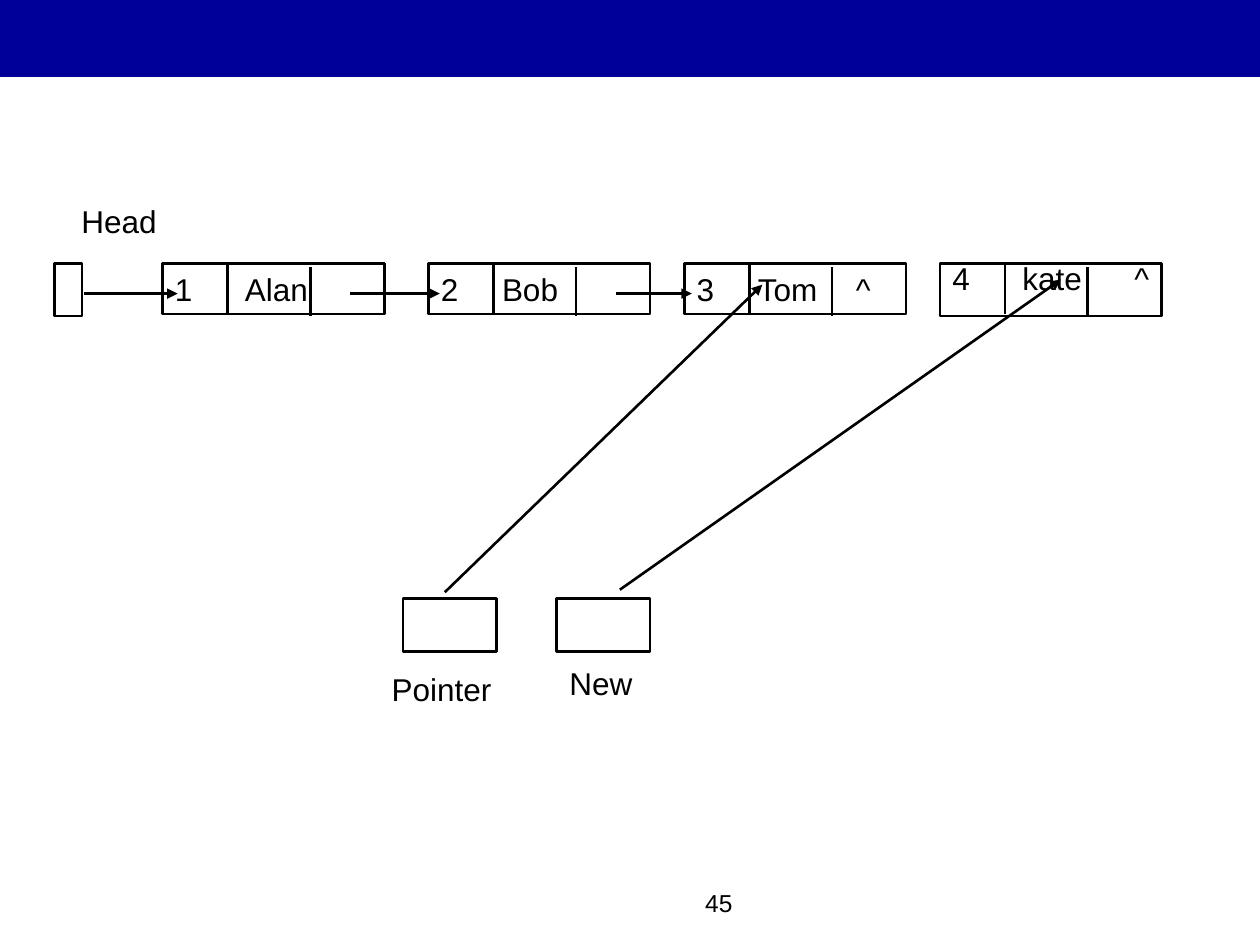
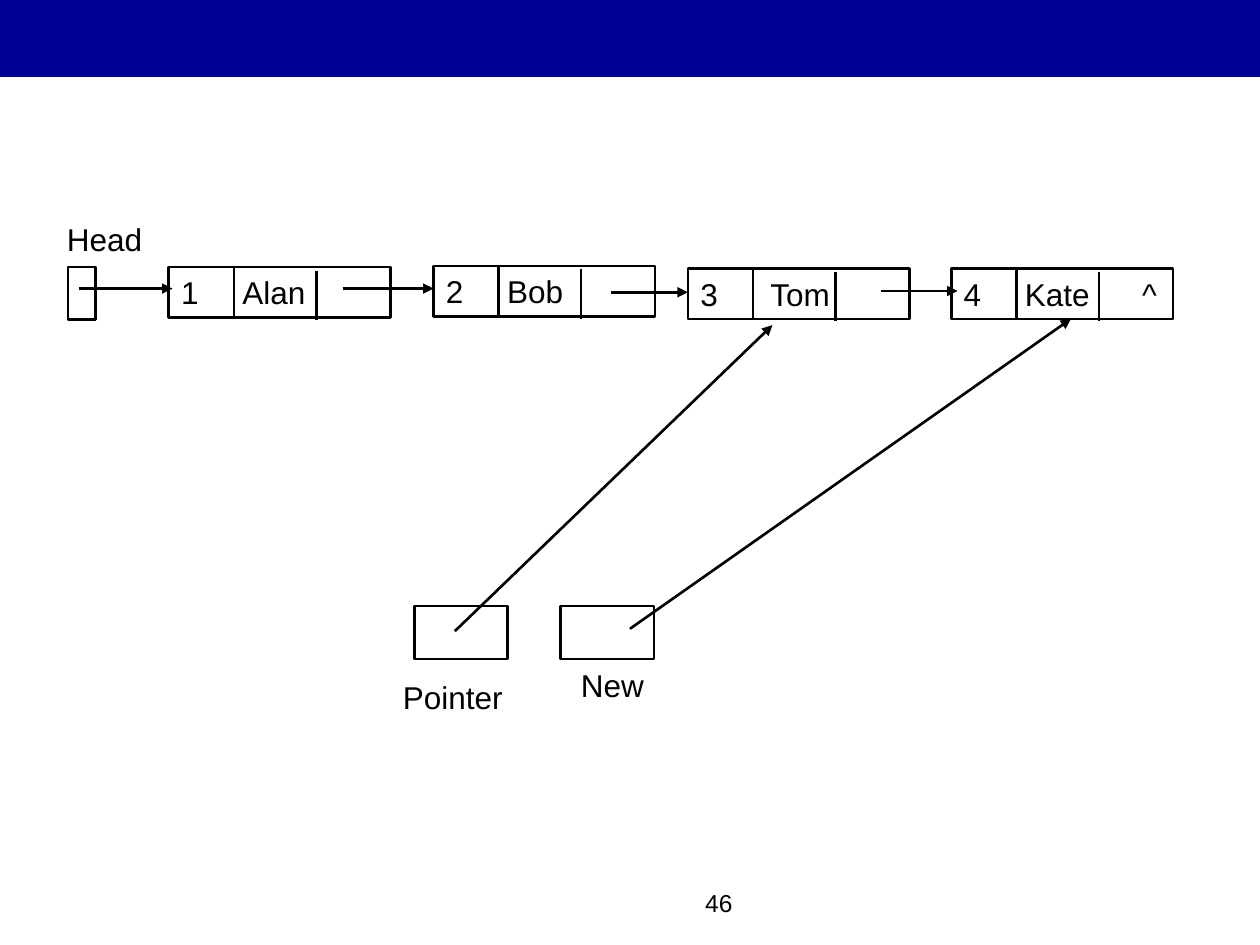
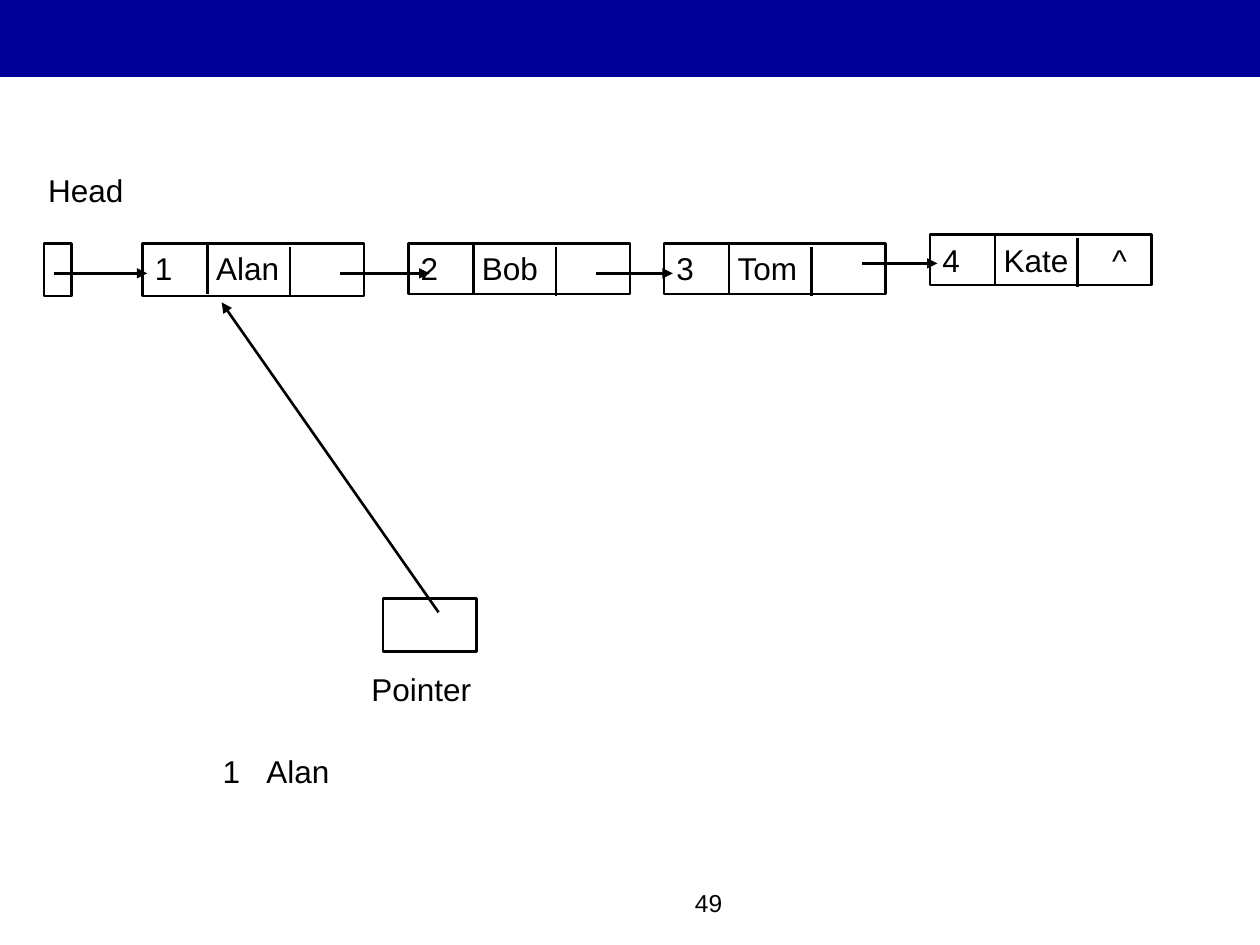
import pptx
import pptx.util
import pptx.dml.color
import pptx.enum.shapes
import pptx.enum.text
import pptx.oxml.ns
from lxml import etree

Pt = pptx.util.Pt
SHAPE = pptx.enum.shapes.MSO_SHAPE
ALIGN = pptx.enum.text.PP_ALIGN

BLACK, BAND_BLUE = "000000", "000099"
FONT, BODY_SIZE, PAGE_SIZE = "Arial", 18, 14
LINE_WIDTH = 1.5
LABEL_H = 29

NODE_W, NODE_H, TALL_H = 126.7, 29, 30.2
DIVIDERS = [(37.2, 0.7), (84.4, 2.1)]  # offsets from the node's corner
DIVIDER_H = 28.1
HEAD_W, HEAD_H = 15.8, 30.2
VAR_W, VAR_H = 53.3, 30.2

# node: fields, left, top, tab stops, height, text shift
# variable: name, box corner, label offset, label width
# arrow: x1, y1, x2, y2
SLIDES = [
    dict(
        page="45", page_left=275.8,
        head_label=(39.2, 111.6), head_box=(31, 150.5),
        nodes=[
            ("1\tAlan", 92.9, 150.5, [40], NODE_H, 0),
            ("2\tBob", 244.8, 150.5, [35], NODE_H, 0),
            ("3\tTom\t^", 391, 150.5, [35, 91], NODE_H, 0),
            ("4\tkate\t^", 537.1, 150.5, [40, 104], TALL_H, -5.8),
        ],
        variables=[
            ("New", 318.2, 342, 0, 33.8, 50.4),
            ("Pointer", 230.4, 342, -13.7, 37.4, 86.4),
        ],
        arrows=[
            (48.2, 167.8, 101.5, 167.8), (200.2, 167.8, 251.3, 167.8),
            (352.1, 167.8, 395.3, 167.8),
            (354.2, 337, 606.2, 159.8), (254.2, 338.4, 435.6, 162.7),
        ],
    ),
    dict(
        page="46", page_left=275.8,
        head_label=(31, 122.4), head_box=(38.9, 152.6),
        nodes=[
            ("1\tAlan", 96.5, 152.6, [35], NODE_H, 0),
            ("2\tBob", 247.7, 151.9, [35], NODE_H, 0),
            ("3\tTom", 393.1, 153.4, [40], NODE_H, 0),
            ("4\tKate\t^", 543.6, 153.4, [35, 102], NODE_H, 0),
        ],
        variables=[
            ("New", 320.4, 346.3, 4.3, 31, 50.4),
            ("Pointer", 236.9, 346.3, -13.7, 37.4, 86.4),
        ],
        arrows=[
            (45.4, 164.9, 98.6, 164.9), (195.8, 164.9, 247.7, 164.9),
            (349.2, 167, 393.1, 167), (503.3, 166.3, 547.2, 166.3),
            (360, 359.3, 612, 182.2), (259.9, 360.7, 441.4, 185.8),
        ],
    ),
    dict(
        page="49", page_left=270,
        head_label=(20.2, 94.3), head_box=(25.2, 139),
        nodes=[
            ("1\tAlan", 81.4, 139, [35], TALL_H, 0),
            ("2\tBob", 233.3, 139, [35], NODE_H, 0),
            ("3\tTom", 379.4, 139, [35], NODE_H, 0),
            ("4\tKate\t^", 531.4, 133.9, [35, 97], NODE_H, 0),
        ],
        variables=[("Pointer", 218.9, 342, -13.7, 37.4, 86.4)],
        arrows=[
            (31, 156.2, 84.2, 156.2), (194.4, 156.2, 245.5, 156.2),
            (340.6, 156.2, 384.5, 156.2), (492.5, 150.5, 535.7, 150.5),
            (250.6, 349.9, 126.7, 172.8),
        ],
        output=("1\tAlan", 120.2, 426.2, 76, [25]),
    ),
]


def color(value):
    return pptx.dml.color.RGBColor.from_string(value)


def sub(parent, tag, **attrs):
    return etree.SubElement(parent, pptx.oxml.ns.qn(tag), **attrs)


def write(s, text, align=ALIGN.LEFT, size=BODY_SIZE, tabs=()):
    tf = s.text_frame
    tf.word_wrap = True
    tf.vertical_anchor = pptx.enum.text.MSO_ANCHOR.TOP
    p = tf.paragraphs[0]
    p.text = text
    p.alignment = align
    if tabs:
        tab_list = sub(p._p.get_or_add_pPr(), "a:tabLst")
        for stop in tabs:
            sub(tab_list, "a:tab", pos=str(Pt(stop)), algn="l")
    for r in p.runs:
        r.font.name = FONT
        r.font.size = Pt(size)
        r.font.color.rgb = color(BLACK)


def label(slide, text, x, y, w, h=LABEL_H, **style):
    write(slide.shapes.add_textbox(Pt(x), Pt(y), Pt(w), Pt(h)), text, **style)


def box(slide, x, y, w, h, fill=None):
    """Outlined rectangle, or a filled one without an outline."""
    s = slide.shapes.add_shape(SHAPE.RECTANGLE, Pt(x), Pt(y), Pt(w), Pt(h))
    s.shadow.inherit = False
    if fill:
        s.fill.solid()
        s.fill.fore_color.rgb = color(fill)
        s.line.fill.background()
    else:
        s.fill.background()
        s.line.color.rgb = color(BLACK)
        s.line.width = Pt(LINE_WIDTH)
    return s


def line(slide, x1, y1, x2, y2, arrow=False):
    s = slide.shapes.add_connector(
        pptx.enum.shapes.MSO_CONNECTOR.STRAIGHT, Pt(x1), Pt(y1), Pt(x2), Pt(y2))
    s.line.color.rgb = color(BLACK)
    s.line.width = Pt(LINE_WIDTH)
    if arrow:
        sub(s.line._get_or_add_ln(), "a:tailEnd", type="triangle")
    sub(s._element.spPr, "a:effectLst")


def node(slide, text, x, y, tabs, h, text_shift):
    s = box(slide, x, y, NODE_W, h)
    if text_shift:
        label(slide, text, x, y + text_shift, NODE_W, tabs=tabs)
    else:
        write(s, text, tabs=tabs)
    for dx, dy in DIVIDERS:
        line(slide, x + dx, y + dy, x + dx, y + dy + DIVIDER_H)


def variable(slide, name, x, y, dx, dy, label_w):
    box(slide, x, y, VAR_W, VAR_H)
    align = ALIGN.LEFT if name == "Pointer" else ALIGN.CENTER
    label(slide, name, x + dx, y + dy, label_w, align=align)


def build(prs, content):
    slide = prs.slides.add_slide(prs.slide_layouts[6])
    box(slide, -0.7, 0, 720.7, 43.9, fill=BAND_BLUE)
    label(slide, content["page"], content["page_left"], 504, 149.8, 36,
          align=ALIGN.RIGHT, size=PAGE_SIZE)
    label(slide, "Head", *content["head_label"], 57.6, align=ALIGN.CENTER)
    box(slide, *content["head_box"], HEAD_W, HEAD_H)
    for item in content["nodes"]:
        node(slide, *item)
    for item in content["variables"]:
        variable(slide, *item)
    for ends in content["arrows"]:
        line(slide, *ends, arrow=True)
    if "output" in content:
        text, x, y, w, tabs = content["output"]
        label(slide, text, x, y, w, tabs=tabs)


def main():
    prs = pptx.Presentation()
    prs.slide_width, prs.slide_height = Pt(720), Pt(540)
    for content in SLIDES:
        build(prs, content)
    prs.save("out.pptx")


if __name__ == "__main__":
    main()
